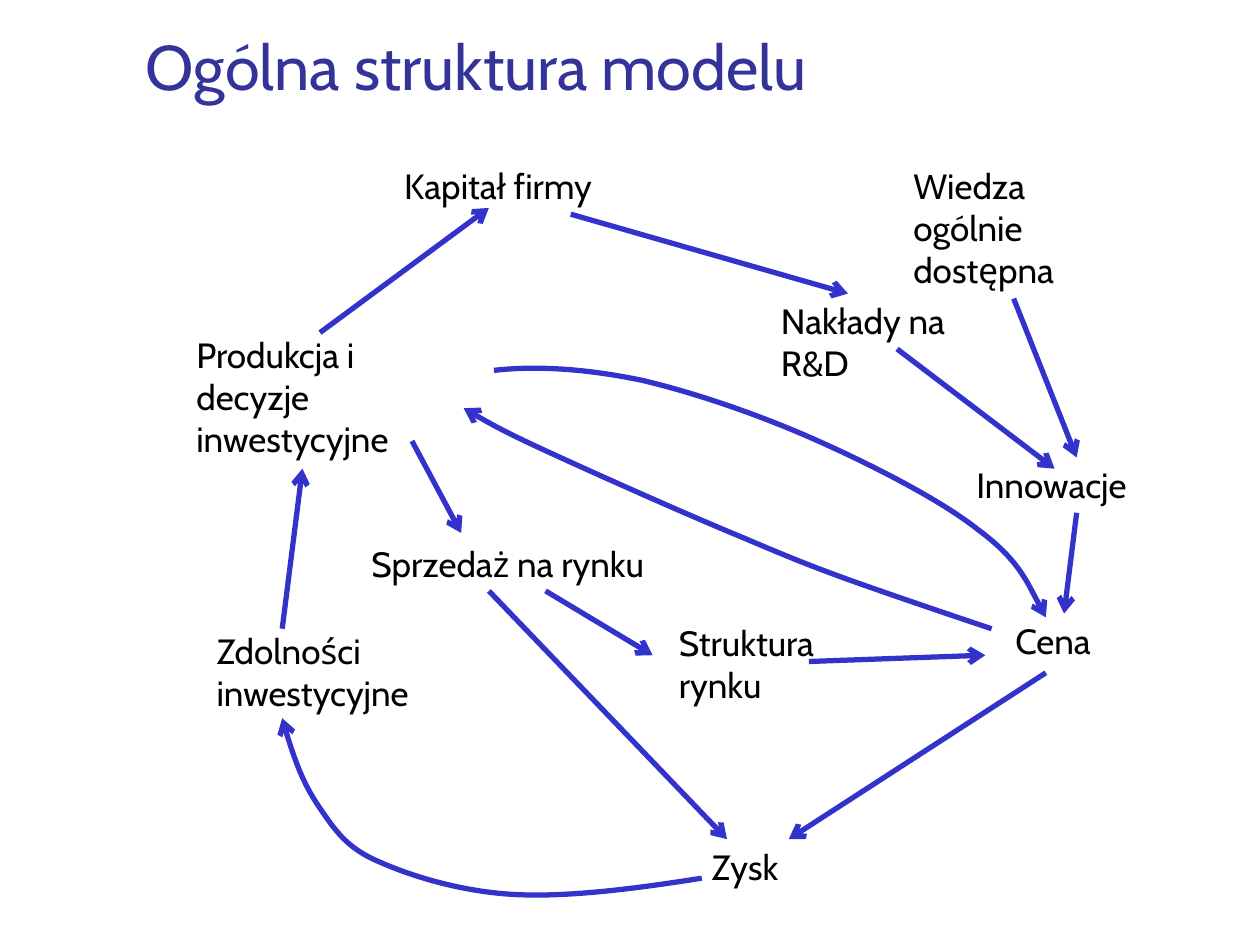
from lxml import etree
from pptx import Presentation
from pptx.dml.color import RGBColor
from pptx.enum.shapes import MSO_CONNECTOR
from pptx.enum.text import MSO_ANCHOR, MSO_AUTO_SIZE
from pptx.oxml.ns import qn
from pptx.util import Inches, Pt

STRAIGHT = MSO_CONNECTOR.STRAIGHT
BOTTOM = MSO_ANCHOR.BOTTOM
GROW = MSO_AUTO_SIZE.SHAPE_TO_FIT_TEXT
TITLE_COLOR = RGBColor(0x33, 0x33, 0x99)
ARROW_COLOR = RGBColor(0x33, 0x33, 0xCC)
BLACK = RGBColor(0, 0, 0)
TITLE_FONT = {"name": "Cabin", "size": Pt(36)}
LABEL_FONT = {"name": "Cabin", "size": Pt(20)}
SIDE_TOP, SIDE_BOTTOM = 0, 2

# Diagram parts, in inches from the corner of the diagram box
LABELS = {
    "Produkcja i decyzje inwestycyjne": (0.46, 1.6, 2.22, 1.11),
    "Kapitał firmy": (2.11, 0.26, 2.44, 0.44),
    "Nakłady na R&D": (5.1, 1.33, 1.7, 0.77),
    "Wiedza ogólnie dostępna": (6.15, 0.26, 1.79, 1.11),
    "Innowacje": (6.65, 2.63, 1.79, 0.44),
    "Cena": (6.96, 3.87, 0.97, 0.44),
    "Struktura rynku": (4.29, 3.88, 1.58, 0.77),
    "Sprzedaż na rynku": (1.85, 3.26, 2.7, 0.44),
    "Zdolności inwestycyjne": (0.62, 3.95, 1.85, 0.77),
    "Zysk": (4.55, 5.66, 1.05, 0.44),
}
JOINED = [("Wiedza ogólnie dostępna", "Innowacje"), ("Innowacje", "Cena")]
ARROWS = [
    (3.53, 0.7, 5.73, 1.33),   # capital to R&D
    (1.54, 1.64, 2.88, 0.65),  # production to capital
    (6.12, 1.77, 7.37, 2.72),  # R&D to innovation
    (2.27, 2.5, 2.66, 3.23),   # production to sales
    (3.33, 3.69, 4.18, 4.2),   # sales to market structure
    (5.42, 4.25, 6.82, 4.2),   # market structure to price
    (7.3, 4.34, 5.26, 5.66),   # price to profit
    (2.88, 3.69, 4.77, 5.66),  # sales to profit
    (1.24, 3.99, 1.4, 2.72),   # capacity to production
]
# Start point, then two control points and an end point per segment
CURVES = [
    # price to production
    [(6.87, 3.99), (6.48, 3.86), (6.1, 3.73), (5.76, 3.61),
     (5.43, 3.49), (5.28, 3.43), (4.88, 3.26),
     (4.49, 3.1), (3.75, 2.77), (3.38, 2.6),
     (3.01, 2.43), (2.85, 2.34), (2.68, 2.24)],
    # production to price
    [(2.92, 1.94), (3.27, 1.9), (3.67, 1.93), (4.1, 2.02),
     (4.52, 2.12), (5.02, 2.29), (5.47, 2.49),
     (5.92, 2.69), (6.47, 2.97), (6.77, 3.21),
     (7.08, 3.44), (7.22, 3.75), (7.3, 3.9)],
    # profit to capacity
    [(4.57, 5.97), (4.06, 6.05), (3.53, 6.12), (3.1, 6.1),
     (2.68, 6.08), (2.28, 5.96), (2.01, 5.84),
     (1.75, 5.73), (1.66, 5.59), (1.53, 5.4),
     (1.4, 5.21), (1.29, 4.89), (1.24, 4.7)],
]


def add_text(s, text, box, font, color):
    sp = s.shapes.add_textbox(*box)
    tf = sp.text_frame
    tf.word_wrap = True
    r = tf.paragraphs[0].add_run()
    r.text = text
    for name, value in font.items():
        setattr(r.font, name, value)
    r.font.color.rgb = color
    return sp


def style_arrow(sp):
    sp.line.color.rgb = ARROW_COLOR
    sp.line.width = Pt(3)
    etree.SubElement(sp.line._get_or_add_ln(), qn("a:tailEnd"), type="arrow")
    etree.SubElement(sp._element.spPr, qn("a:effectLst"))


def add_arrow(s, x1, y1, x2, y2):
    sp = s.shapes.add_connector(STRAIGHT, x1, y1, x2, y2)
    style_arrow(sp)
    return sp


def add_curve(s, points):
    builder = s.shapes.build_freeform(*points[0])
    builder.add_line_segments(points[1:], close=False)
    sp = builder.convert_to_shape()
    # Turn each three line steps into one Bezier segment
    steps = list(sp._element.iter(qn("a:lnTo")))
    outline = steps[0].getparent()
    outline.set("fill", "none")
    for i in range(0, len(steps), 3):
        bezier = etree.SubElement(outline, qn("a:cubicBezTo"))
        for step in steps[i:i + 3]:
            bezier.append(step[0])
            outline.remove(step)
    sp.fill.background()
    style_arrow(sp)


def build_title(s, box):
    sp = add_text(s, "Ogólna struktura modelu", box, TITLE_FONT, TITLE_COLOR)
    sp.text_frame.vertical_anchor = BOTTOM


def build_diagram(s, left, top):
    def place(x, y):
        return left + Inches(x), top + Inches(y)

    # Labels
    labels = {}
    for text, (x, y, w, h) in LABELS.items():
        box = (*place(x, y), Inches(w), Inches(h))
        labels[text] = add_text(s, text, box, LABEL_FONT, BLACK)
        labels[text].text_frame.auto_size = GROW

    # Arrows from the bottom of one label to the top of the next
    for source, target in JOINED:
        sp = add_arrow(s, left, top, left, top)
        sp.begin_connect(labels[source], SIDE_BOTTOM)
        sp.end_connect(labels[target], SIDE_TOP)

    # Free straight and curved arrows
    for x1, y1, x2, y2 in ARROWS:
        add_arrow(s, *place(x1, y1), *place(x2, y2))
    for points in CURVES:
        add_curve(s, [place(x, y) for x, y in points])


def main():
    prs = Presentation()
    prs.slide_width, prs.slide_height = Inches(10), Inches(7.5)
    s = prs.slides.add_slide(prs.slide_layouts[6])
    build_title(s, (Inches(1.06), Inches(0.29), Inches(8.5), Inches(0.58)))
    build_diagram(s, Inches(1), Inches(1))
    prs.save("out.pptx")


if __name__ == "__main__":
    main()
